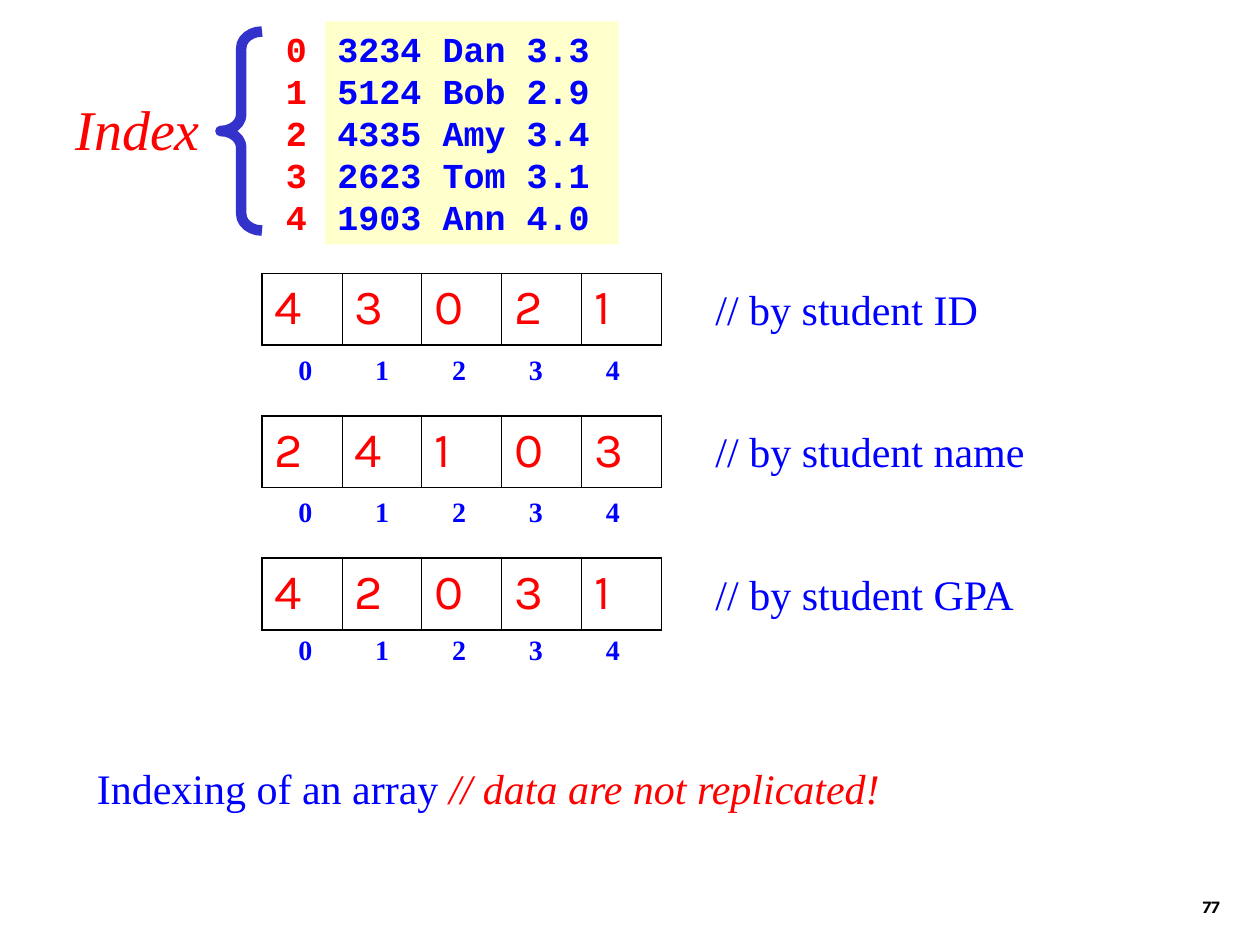
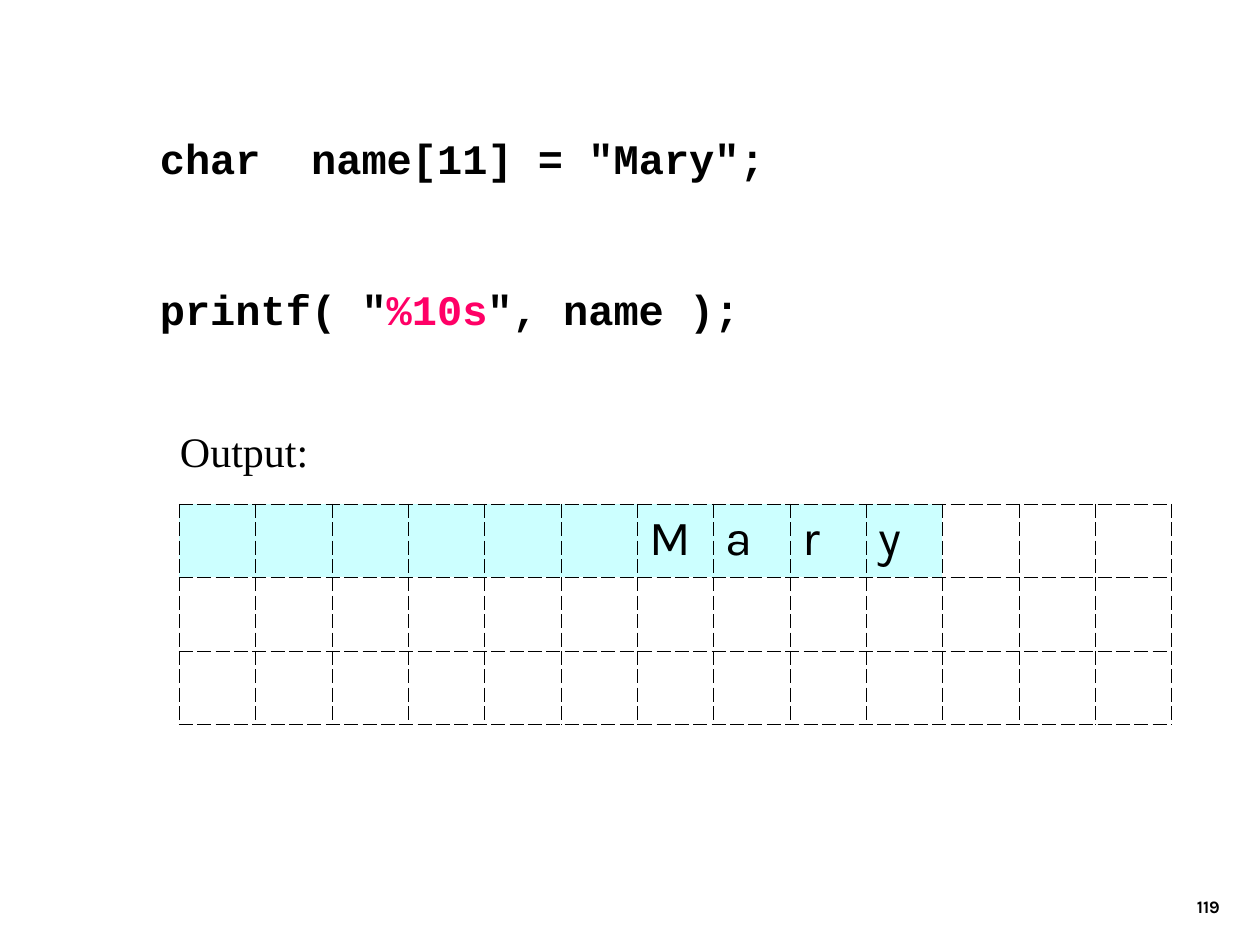
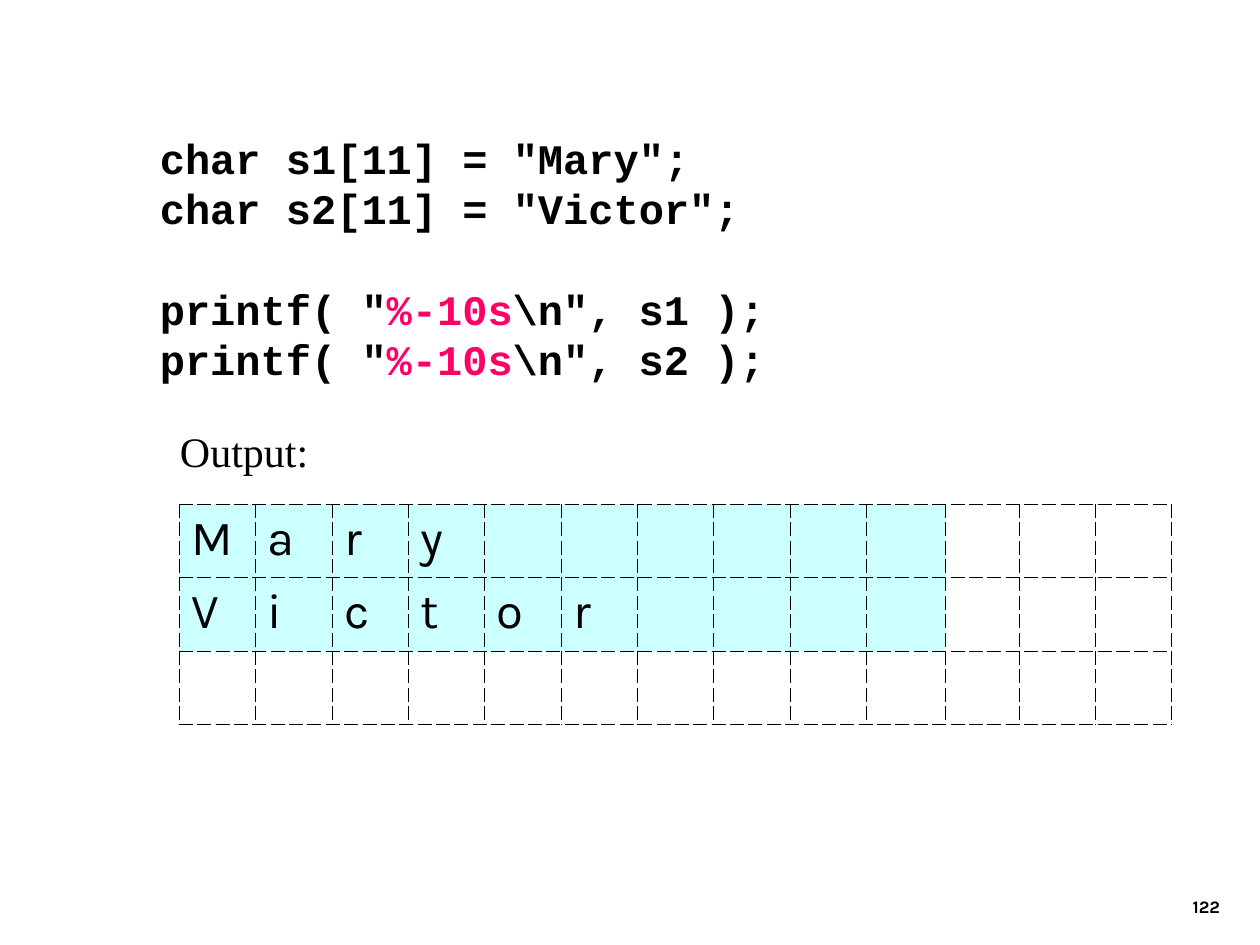
from dataclasses import dataclass

from lxml.etree import SubElement
from pptx import Presentation
from pptx.dml.color import RGBColor
from pptx.enum.shapes import MSO_SHAPE
from pptx.enum.text import MSO_ANCHOR, PP_ALIGN
from pptx.oxml.ns import qn
from pptx.util import Inches, Pt

# Shared look
COLORS = {
    "black": "000000",
    "blue": "0000FF",
    "red": "FF0000",
    "pink": "FF0066",
    "brace": "3333CC",
    "records": "FFFFCC",
    "field": "CCFFFF",
}
SERIF, MONO, SANS = "Times New Roman", "Courier New", "Karla"


@dataclass(frozen=True)
class Style:
    font: str
    size: float
    color: str = "black"
    bold: bool = False
    italic: bool = False


PAGE_NUMBER = Style(SANS, 10, bold=True)
CODE = Style(MONO, 24, bold=True)
FORMAT = Style(MONO, 24, "pink", bold=True)
RECORD = Style(MONO, 20, "blue", bold=True)
RECORD_INDEX = Style(MONO, 20, "red", bold=True)
COMMENT = Style(SERIF, 24, "blue")
REMARK = Style(SERIF, 24, "red", italic=True)
INDEX_LABEL = Style(SERIF, 32, "red", italic=True)
POSITION = Style(SERIF, 16, "blue", bold=True)
OUTPUT_LABEL = Style(SERIF, 24)
INDEX_ENTRY = Style(SANS, 28, "red")
OUTPUT_CHAR = Style(SANS, 28)


@dataclass(frozen=True)
class Box:
    left: float
    top: float
    width: float
    height: float

    def place(self) -> tuple:
        return tuple(map(Inches, (self.left, self.top, self.width, self.height)))


@dataclass(frozen=True)
class Line:
    spans: tuple  # (text, Style) pairs
    space_before: float = 0


@dataclass(frozen=True)
class IndexArray:
    top: float
    positions_top: float
    entries: str
    note: str
    note_width: float


@dataclass(frozen=True)
class PrintfExample:
    page: int
    code_height: float
    code: tuple
    output: tuple
    field_rows: int
    field_stretch: float = 0


def rgb(name: str) -> RGBColor:
    return RGBColor.from_string(COLORS[name])


def apply_style(run, style: Style) -> None:
    font = run.font
    font.name, font.size = style.font, Pt(style.size)
    font.bold, font.italic = style.bold, style.italic
    font.color.rgb = rgb(style.color)


def write_lines(frame, lines: list[Line]) -> None:
    frame.word_wrap = True
    for number, line in enumerate(lines):
        paragraph = frame.add_paragraph() if number else frame.paragraphs[0]
        paragraph.alignment = PP_ALIGN.LEFT
        if line.space_before:
            paragraph.space_before = Pt(line.space_before)
        for text, style in line.spans:
            run = paragraph.add_run()
            run.text = text
            apply_style(run, style)


def add_text(slide, box: Box, lines: list[Line]):
    frame = slide.shapes.add_textbox(*box.place()).text_frame
    write_lines(frame, lines)
    return frame


def add_label(slide, box: Box, text: str, style: Style):
    return add_text(slide, box, [Line(((text, style),))])


def add_numbered_slide(deck, page: int):
    slide = deck.slides.add_slide(deck.slide_layouts[6])
    frame = add_label(slide, Box(7.7, 6.83, 2.08, 0.5), str(page), PAGE_NUMBER)
    frame.vertical_anchor = MSO_ANCHOR.BOTTOM
    frame.paragraphs[0].alignment = PP_ALIGN.RIGHT
    return slide


# Tables
def set_borders(cell, widths: dict[str, float], dash: str) -> None:
    properties = cell._tc.get_or_add_tcPr()
    for position, (side, width) in enumerate(widths.items()):
        border = properties.makeelement(qn(f"a:ln{side}"), {"w": str(Pt(width))})
        fill = SubElement(border, qn("a:solidFill"))
        SubElement(fill, qn("a:srgbClr"), val=COLORS["black"])
        SubElement(border, qn("a:prstDash"), val=dash)
        properties.insert(position, border)


def add_grid(slide, box: Box, rows: tuple, columns: int, style: Style):
    table = slide.shapes.add_table(len(rows), columns, *box.place()).table
    table.first_row = table.horz_banding = False
    for row, text in enumerate(rows):
        for column in range(columns):
            cell = table.cell(row, column)
            cell.fill.background()
            character = text[column:column + 1].strip()
            if character:
                cell.text = character
                apply_style(cell.text_frame.paragraphs[0].runs[0], style)
    return table


# Indexing slide
RECORDS = ("3234 Dan 3.3", "5124 Bob 2.9", "4335 Amy 3.4", "2623 Tom 3.1", "1903 Ann 4.0")
INDEX_ARRAYS = (
    IndexArray(2.17, 2.75, "43021", "// by student ID", 2.33),
    IndexArray(3.3, 3.88, "24103", "// by student name", 2.92),
    IndexArray(4.43, 4.97, "42031", "// by student GPA", 2.92),
)


def add_positions(slide, top: float, count: int) -> None:
    text = "".join(f"\t{position}" for position in range(count))
    frame = add_label(slide, Box(1.83, top, 3.5, 0.37), text, POSITION)
    stops = SubElement(frame.paragraphs[0]._p.get_or_add_pPr(), qn("a:tabLst"))
    for position in range(count):
        SubElement(stops, qn("a:tab"), pos=str(Inches(0.44 + 0.61 * position)), algn="l")


def add_index_array(slide, array: IndexArray) -> None:
    count = len(array.entries)
    table = add_grid(slide, Box(2.08, array.top, 3.17, 0.57), (array.entries,), count, INDEX_ENTRY)
    outer, inner = 1.08, 0.45
    for column in range(count):
        widths = {
            "L": inner if column else outer,
            "R": inner if column < count - 1 else outer,
            "T": outer,
            "B": outer,
        }
        set_borders(table.cell(0, column), widths, "solid")
    add_positions(slide, array.positions_top, count)
    add_label(slide, Box(5.58, array.top + 0.03, array.note_width, 0.5), array.note, COMMENT)


def build_indexing(deck) -> None:
    slide = add_numbered_slide(deck, 77)

    # Records with their indices
    records = slide.shapes.add_shape(MSO_SHAPE.RECTANGLE, *Box(2.58, 0.17, 2.33, 1.77).place())
    records.shadow.inherit = False
    records.fill.solid()
    records.fill.fore_color.rgb = rgb("records")
    records.line.fill.background()
    records.text_frame.vertical_anchor = MSO_ANCHOR.TOP
    write_lines(records.text_frame, [Line(((record, RECORD),)) for record in RECORDS])
    indices = [Line(((str(index), RECORD_INDEX),)) for index in range(len(RECORDS))]
    add_text(slide, Box(2.17, 0.17, 0.5, 1.77), indices)

    # Brace and its label
    add_label(slide, Box(0.5, 0.7, 1.33, 0.64), "Index", INDEX_LABEL)
    brace = slide.shapes.add_shape(MSO_SHAPE.LEFT_BRACE, *Box(1.75, 0.25, 0.33, 1.58).place())
    brace.shadow.inherit = False
    brace.adjustments[0] = 0.4
    brace.fill.background()
    brace.line.color.rgb = rgb("brace")
    brace.line.width = Pt(6)

    # One index array per sort key
    for array in INDEX_ARRAYS:
        add_index_array(slide, array)
    summary = Line((("Indexing of an array ", COMMENT), ("// data are not replicated!", REMARK)))
    add_text(slide, Box(0.67, 6, 8.08, 0.5), [summary])


# Printf slides
OUTPUT_COLUMNS, FIELD_WIDTH = 13, 10
BLANK_LINE = 28.8


def code_line(text: str, blank_lines: int = 0) -> Line:
    return Line(((text, CODE),), blank_lines * BLANK_LINE)


def printf_line(specifier: str, rest: str, blank_lines: int = 0) -> Line:
    spans = (('printf( "', CODE), (specifier, FORMAT), (rest, CODE))
    return Line(spans, blank_lines * BLANK_LINE)


PRINTF_EXAMPLES = (
    PrintfExample(
        page=119,
        code_height=1.7,
        code=(
            code_line('char  name[11] = "Mary";'),
            printf_line("%10s", '", name );', blank_lines=2),
        ),
        output=("Mary".rjust(FIELD_WIDTH), "", ""),
        field_rows=1,
    ),
    PrintfExample(
        page=122,
        code_height=2.1,
        code=(
            code_line('char s1[11] = "Mary";'),
            code_line('char s2[11] = "Victor";'),
            printf_line("%-10s", '\\n", s1 );', blank_lines=1),
            printf_line("%-10s", '\\n", s2 );'),
        ),
        output=("Mary", "Victor", ""),
        field_rows=2,
        field_stretch=0.02,
    ),
)


def build_printf(deck, example: PrintfExample) -> None:
    slide = add_numbered_slide(deck, example.page)
    add_text(slide, Box(1.17, 1, 6.92, example.code_height), list(example.code))
    add_label(slide, Box(1.33, 3.33, 3.5, 0.5), "Output:", OUTPUT_LABEL)

    # Output cells, with the printed field shaded
    table = add_grid(slide, Box(1.42, 4, 7.88, 1.75), example.output, OUTPUT_COLUMNS, OUTPUT_CHAR)
    table.columns[FIELD_WIDTH - 1].width += Inches(example.field_stretch)
    table.columns[FIELD_WIDTH].width -= Inches(example.field_stretch)
    for row in range(len(example.output)):
        for column in range(OUTPUT_COLUMNS):
            cell = table.cell(row, column)
            if row < example.field_rows and column < FIELD_WIDTH:
                cell.fill.solid()
                cell.fill.fore_color.rgb = rgb("field")
            set_borders(cell, dict.fromkeys("LRTB", 0.11), "dash")


def main() -> None:
    deck = Presentation()
    deck.slide_width, deck.slide_height = Inches(10), Inches(7.5)
    build_indexing(deck)
    for example in PRINTF_EXAMPLES:
        build_printf(deck, example)
    deck.save("out.pptx")


if __name__ == "__main__":
    main()
